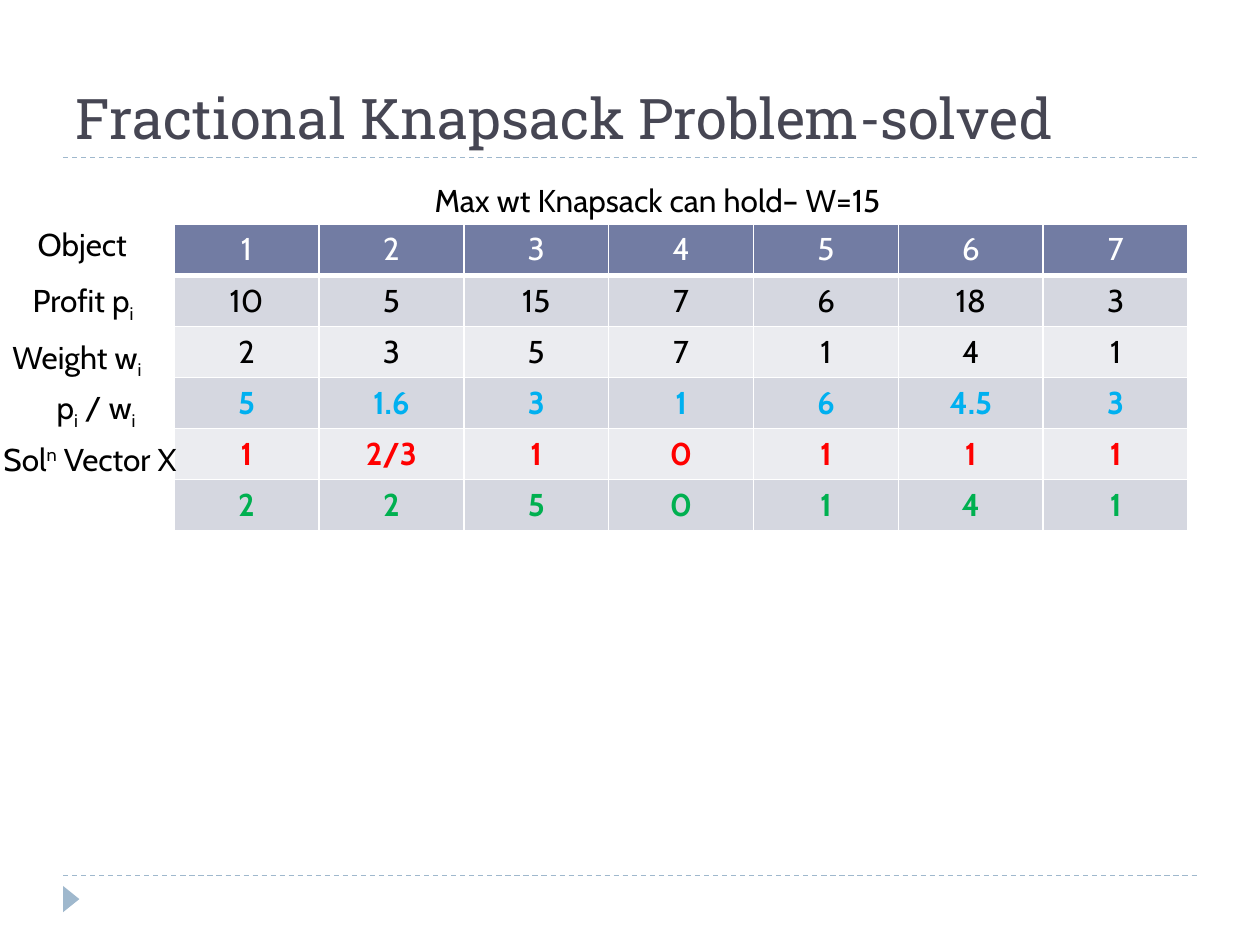
"""Build the slide of the solved fractional knapsack problem."""
from lxml.etree import SubElement as Sub
from pptx import Presentation
from pptx.dml.color import RGBColor as RGB
from pptx.enum.dml import MSO_LINE as Dash
from pptx.enum.shapes import MSO_CONNECTOR as Conn, MSO_SHAPE as Shape
from pptx.enum.text import MSO_ANCHOR as Anchor, MSO_AUTO_SIZE as Fit, PP_ALIGN as Align
from pptx.oxml.ns import qn
from pptx.util import Cm, Pt

WHITE, BLACK = RGB(255, 255, 255), RGB(0, 0, 0)
SLATE, MIST = RGB(0x46, 0x46, 0x53), RGB(0x9F, 0xB8, 0xCD)
HEAD = RGB(0x72, 0x7C, 0xA3)
BANDS = RGB(0xEB, 0xEC, 0xF0), RGB(0xD5, 0xD7, 0xE0)
BLUE, RED, GREEN = RGB(0, 0xB0, 0xF0), RGB(255, 0, 0), RGB(0, 0xB0, 0x50)

TITLE = "Fractional Knapsack Problem-solved"
ROWS = [
    (WHITE, False, "1 2 3 4 5 6 7"),
    (BLACK, False, "10 5 15 7 6 18 3"),
    (BLACK, False, "2 3 5 7 1 4 1"),
    (BLUE, True, "5 1.6 3 1 6 4.5 3"),
    (RED, True, "1 2/3 1 0 1 1 1"),
    (GREEN, True, "2 2 5 0 1 4 1"),
]
SUB, SUP = -25000, 30000
LABELS = [
    (0.51, 4.42, 3, [("Object", 0)]),
    (0.41, 5.54, 3, [("Profit p", 0), ("i", SUB)]),
    (0, 6.68, 3.4, [("Weight w", 0), ("i", SUB)]),
    (8.51, 3.53, 11.4, [("Max wt Knapsack can hold– W=15", 0)]),
    (0.89, 7.7, 3.4, [("p", 0), ("i", SUB), (" / w", 0), ("i", SUB)]),
    (-0.18, 8.74, 4.19, [("Sol", 0), ("n", SUP), (" Vector X", 0)]),
]
RULES = 17.65, 3.18
COL, ROW = 2.92, 1.03


def style(run, color, size=18, face="Cabin", bold=False):
    font = run.font
    font.name, font.size, font.bold = face, Pt(size), bold
    font.color.rgb = color


def add_rule(slide, y):
    rule = slide.shapes.add_connector(Conn.STRAIGHT, Cm(1.27), Cm(y), Cm(24.13), Cm(y))
    rule.line.color.rgb = MIST
    rule.line.width = Pt(0.75)
    rule.line.dash_style = Dash.DASH
    Sub(rule._element.spPr, qn("a:effectLst"))


def add_mark(slide):
    mark = slide.shapes.add_shape(Shape.ISOSCELES_TRIANGLE, Cm(1.17), Cm(17.96), Cm(0.53), Cm(0.33))
    mark.rotation = 90
    mark.shadow.inherit = False
    mark.fill.solid()
    mark.fill.fore_color.rgb = MIST
    mark.line.fill.background()


def add_title(slide):
    title = slide.shapes.title
    title.left, title.top, title.width, title.height = Cm(1.27), Cm(0.43), Cm(22.86), Cm(2.74)
    frame = title.text_frame
    frame.text = TITLE
    frame.vertical_anchor = Anchor.BOTTOM
    frame.auto_size = Fit.NONE
    frame.paragraphs[0].alignment = Align.LEFT
    style(frame.paragraphs[0].runs[0], SLATE, 32, "Roboto Slab")


def edge(cell, base):
    props = cell._tc.get_or_add_tcPr()
    for side, width in zip("LRTB", (1, 1, 1, base)):
        line = Sub(props, qn(f"a:ln{side}"), w=str(Pt(width)))
        Sub(Sub(line, qn("a:solidFill")), qn("a:srgbClr"), val=str(WHITE))


def add_grid(slide):
    count = len(ROWS[0][2].split())
    grid = slide.shapes.add_table(
        len(ROWS), count, Cm(3.51), Cm(4.52), Cm(COL * count), Cm(ROW * len(ROWS))).table
    for col in grid.columns:
        col.width = Cm(COL)
    for i, (color, bold, values) in enumerate(ROWS):
        grid.rows[i].height = Cm(ROW)
        for j, value in enumerate(values.split()):
            cell = grid.cell(i, j)
            edge(cell, 1 if i else 3)
            cell.fill.solid()
            cell.fill.fore_color.rgb = BANDS[i % 2] if i else HEAD
            cell.text_frame.text = value
            para = cell.text_frame.paragraphs[0]
            para.alignment = Align.CENTER
            style(para.runs[0], color, bold=bold)


def add_label(slide, x, y, width, parts):
    frame = slide.shapes.add_textbox(Cm(x), Cm(y), Cm(width), Cm(1.03)).text_frame
    frame.word_wrap = True
    frame.auto_size = Fit.SHAPE_TO_FIT_TEXT
    for text, shift in parts:
        run = frame.paragraphs[0].add_run()
        run.text = text
        style(run, BLACK)
        if shift:
            run._r.get_or_add_rPr().set("baseline", str(shift))


def main():
    deck = Presentation()
    deck.slide_width, deck.slide_height = Cm(25.4), Cm(19.05)
    slide = deck.slides.add_slide(deck.slide_layouts[5])
    for y in RULES:
        add_rule(slide, y)
    add_mark(slide)
    add_title(slide)
    add_grid(slide)
    for label in LABELS:
        add_label(slide, *label)
    deck.save("out.pptx")


if __name__ == "__main__":
    main()
